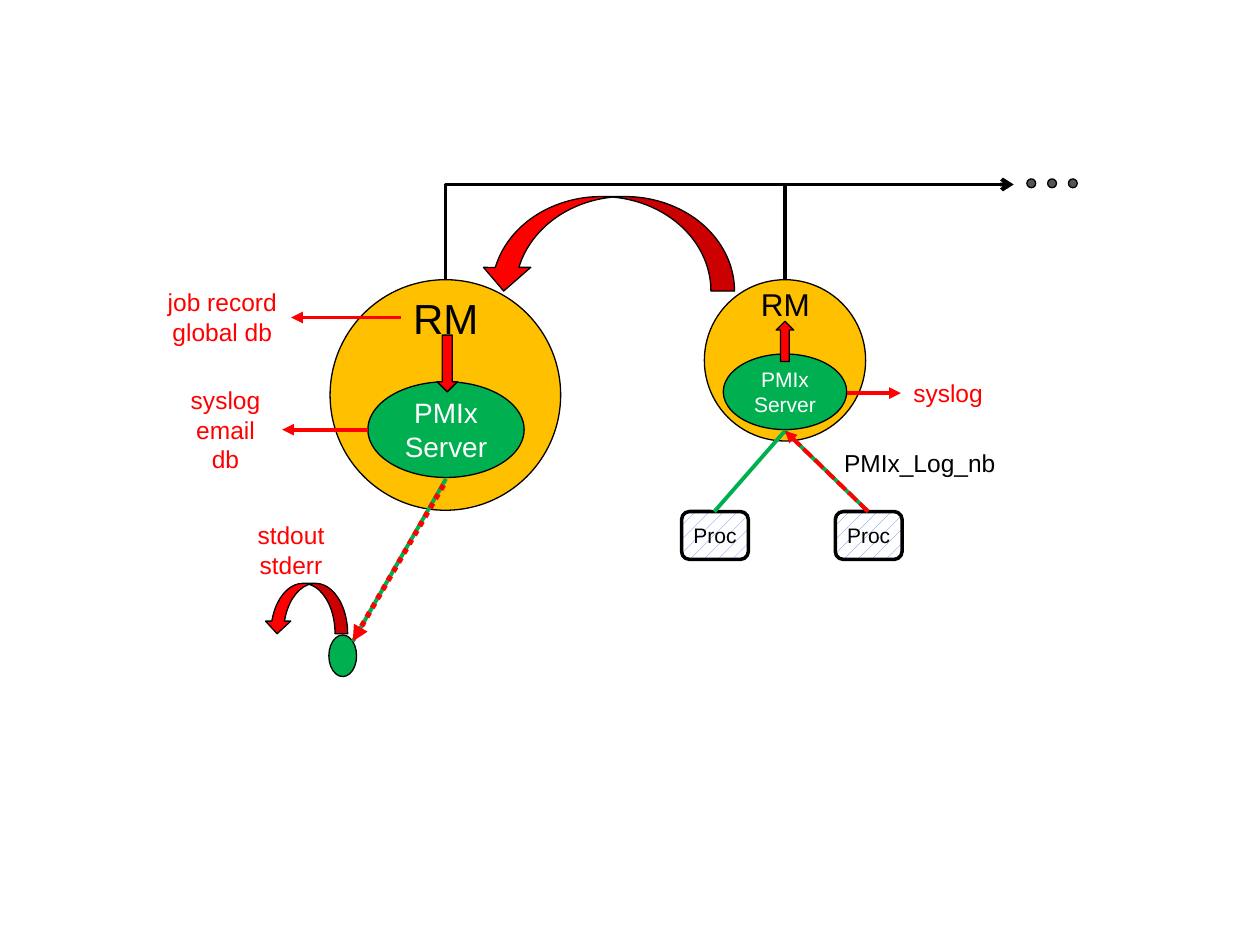
from lxml import etree
from pptx import Presentation
from pptx.dml.color import RGBColor
from pptx.enum import dml, shapes, text
from pptx.oxml.ns import qn
from pptx.util import Inches, Pt

BLACK, WHITE, RED, GREEN = "000000", "FFFFFF", "FF0000", "00B050"
AMBER, GRAY, BLUE = "FFC000", "555555", "5B87F2"
SHAPE, DASH = shapes.MSO_SHAPE, dml.MSO_LINE

SITES = [
    dict(circle=(2.62, 2.22, 1.83, 1.83), title=(3.18, 2.27, 0.73, 0.5), title_size=24,
         server=(2.92, 3.03, 1.24, 0.76), server_size=16),
    dict(circle=(5.59, 2.22, 1.28, 1.28), title=(5.94, 2.21, 0.59, 0.4), title_size=18,
         server=(5.74, 2.81, 0.98, 0.6), server_size=12),
]
TOOL = (2.61, 5.04, 0.22, 0.33)
PROC_LEFTS = [5.41, 6.63]
DOT_LEFT, DOT_STEP, DOT_COUNT = 8.15, 0.165, 3
GREEN_LINKS = [((2.8, 5.09), (3.54, 3.8)), ((6.23, 3.42), (5.67, 4.06)), ((6.23, 3.42), (6.89, 4.06))]
RED_LINKS = [
    ((3.52, 3.85), (2.8, 5.09), 3, DASH.ROUND_DOT),
    ((6.89, 4.06), (6.23, 3.42), 2.25, DASH.SQUARE_DOT),
    ((6.72, 3.12), (7.15, 3.12), 2.25, None),
    ((2.92, 3.41), (2.24, 3.41), 2.25, None),
    ((3.18, 2.52), (2.31, 2.52), 2.25, None),
]
BLOCK_ARROWS = [
    (SHAPE.DOWN_ARROW, (3.47, 2.66, 0.16, 0.45), None),
    (SHAPE.CURVED_DOWN_ARROW, (3.81, 1.56, 2.02, 0.75), "flipH"),
    (SHAPE.CURVED_DOWN_ARROW, (2.1, 4.63, 0.66, 0.4), "flipH"),
    (SHAPE.DOWN_ARROW, (6.16, 2.55, 0.14, 0.32), "flipV"),
]
LABELS = [
    (["stdout", "stderr"], (1.88, 4.08, 0.86, 0.57), RED, True, True),
    (["PMIx_Log_nb"], (6.6, 3.51, 1.41, 0.34), BLACK, False, False),
    (["syslog"], (7.15, 2.95, 0.77, 0.34), RED, False, True),
    (["syslog", "email", "db"], (1.33, 3.01, 0.92, 0.81), RED, True, True),
    (["job record", "global db"], (1.23, 2.23, 1.07, 0.57), RED, True, False),
]

prs = Presentation()
prs.slide_width, prs.slide_height = Inches(10), Inches(7.5)
s = prs.slides.add_slide(prs.slide_layouts[6])


def rgb(value):
    return RGBColor.from_string(value)


def write(sp, lines, size=14, color=BLACK, center=False, wrap=True):
    tf = sp.text_frame
    tf.word_wrap = wrap
    for i, line in enumerate(lines):
        p = tf.paragraphs[0] if i == 0 else tf.add_paragraph()
        p.alignment = text.PP_ALIGN.CENTER if center else text.PP_ALIGN.LEFT
        r = p.add_run()
        r.text = line
        r.font.name, r.font.size = "Arial", Pt(size)
        r.font.color.rgb = rgb(color)
    return tf


def label(lines, box, **fmt):
    return write(s.shapes.add_textbox(*map(Inches, box)), lines, **fmt)


def shape(kind, box, fill, width=0.75, flip=None):
    sp = s.shapes.add_shape(kind, *map(Inches, box))
    sp.shadow.inherit = False
    sp.fill.solid()
    sp.fill.fore_color.rgb = rgb(fill)
    sp.line.color.rgb = rgb(BLACK)
    sp.line.width = Pt(width)
    if flip:
        sp._element.spPr.find(qn("a:xfrm")).set(flip, "1")
    return sp


def connect(start, end, color, width=2.25, dash=None, head=None, kind=shapes.MSO_CONNECTOR.STRAIGHT):
    c = s.shapes.add_connector(kind, *map(Inches, start + end))
    c.line.color.rgb = rgb(color)
    c.line.width = Pt(width)
    if dash:
        c.line.dash_style = dash
    if head:
        etree.SubElement(c.line._get_or_add_ln(), qn("a:tailEnd"), type=head)
    etree.SubElement(c._element.spPr, qn("a:effectLst"))
    return c


def site(circle, title, title_size, server, server_size):
    shape(SHAPE.OVAL, circle, AMBER)
    label(["RM"], title, size=title_size, wrap=False)
    sp = shape(SHAPE.OVAL, server, GREEN)
    tf = write(sp, ["PMIx", "Server"], size=server_size, color=WHITE, center=True)
    tf.vertical_anchor = text.MSO_ANCHOR.MIDDLE


def proc(left):
    sp = shape(SHAPE.ROUNDED_RECTANGLE, (left, 4.06, 0.53, 0.38), WHITE, width=2)
    sp.fill.patterned()
    sp.fill.pattern = dml.MSO_PATTERN.PERCENT_10
    sp.fill.fore_color.rgb, sp.fill.back_color.rgb = rgb(BLUE), rgb(WHITE)
    tf = write(sp, ["Proc"], size=12, center=True)
    tf.margin_left = tf.margin_right = 0
    tf.vertical_anchor = text.MSO_ANCHOR.MIDDLE


def network_bus():
    c = connect((6.17, 4.1), (5.41, -0.41), BLACK, head="arrow", kind=shapes.MSO_CONNECTOR.ELBOW)
    spPr = c._element.spPr
    spPr.find(qn("a:xfrm")).set("rot", str(90 * 60000))
    spPr.find(qn("a:prstGeom")).set("prst", "bentConnector2")
    connect((6.23, 1.46), (6.23, 2.22), BLACK)


for item in SITES:
    site(**item)
shape(SHAPE.OVAL, TOOL, GREEN)
for left in PROC_LEFTS:
    proc(left)
for start, end in GREEN_LINKS:
    connect(start, end, GREEN)
network_bus()
for i in range(DOT_COUNT):
    shape(SHAPE.OVAL, (DOT_LEFT + i * DOT_STEP, 1.42, 0.07, 0.07), GRAY)
for kind, box, flip in BLOCK_ARROWS:
    shape(kind, box, RED, flip=flip)
for start, end, width, dash in RED_LINKS:
    connect(start, end, RED, width, dash, "triangle")
for lines, box, color, center, wrap in LABELS:
    label(lines, box, color=color, center=center, wrap=wrap)

prs.save("out.pptx")
